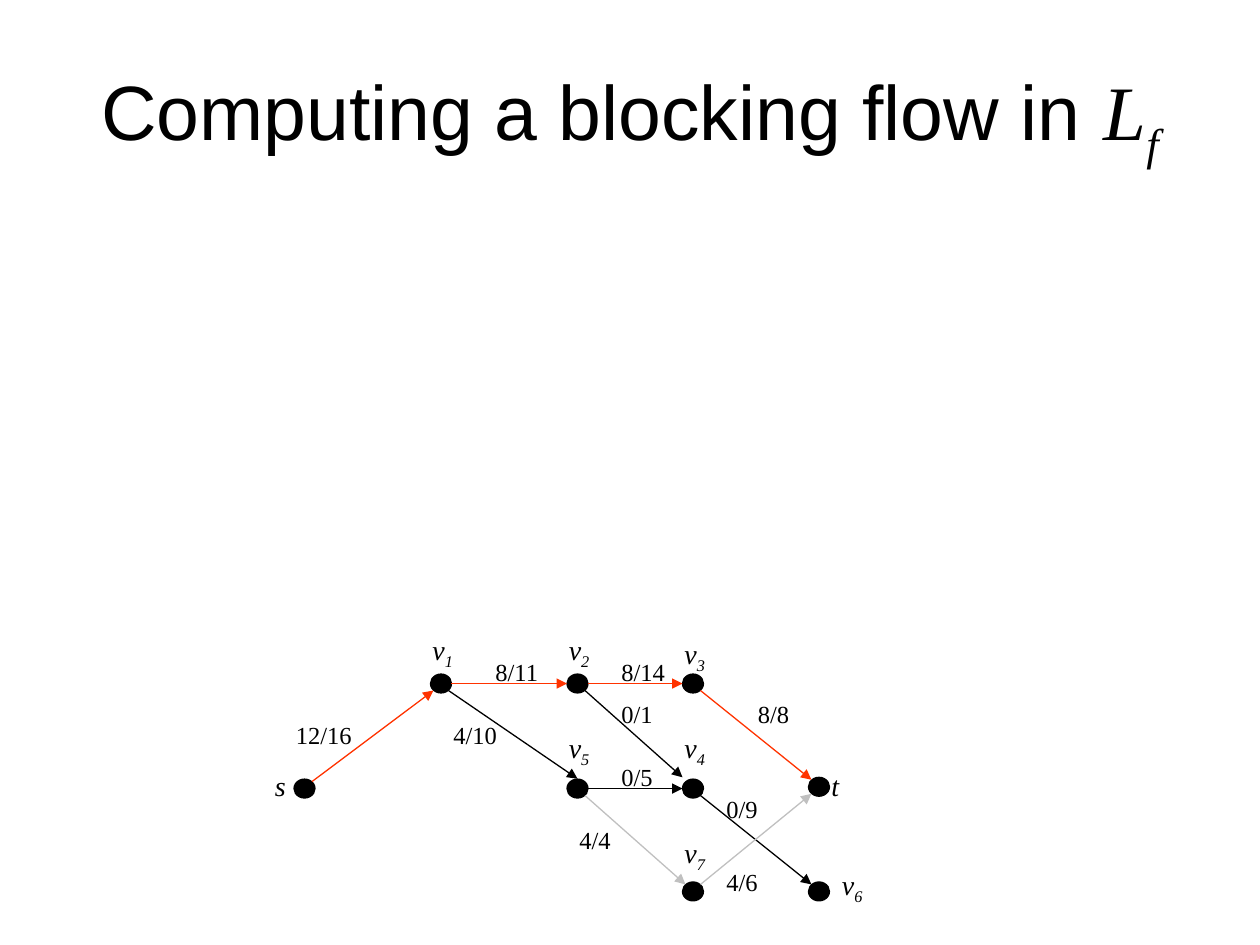
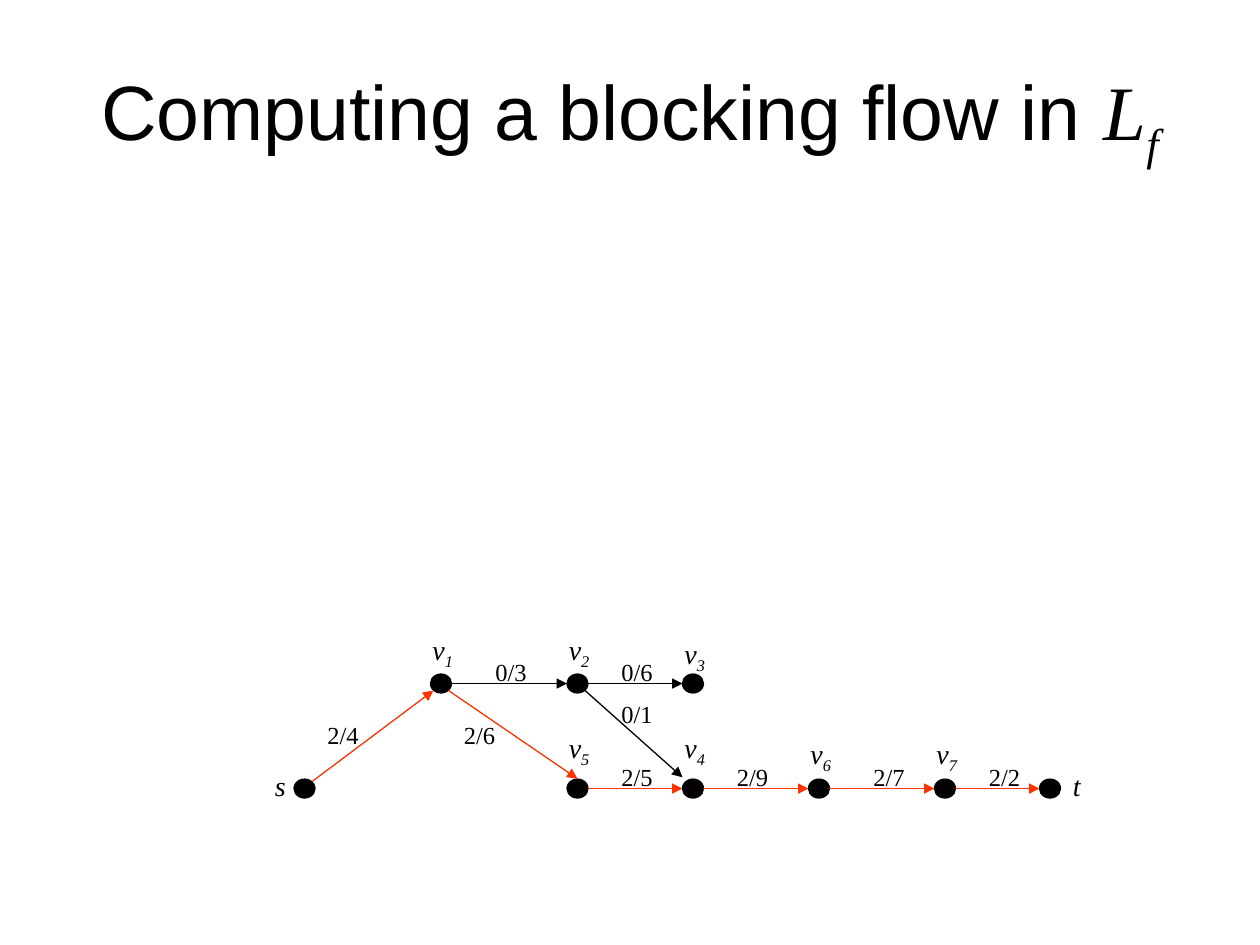
from lxml import etree
from pptx import Presentation
from pptx import util as u
from pptx.dml.color import RGBColor
from pptx.enum import shapes, text
from pptx.oxml import ns

INK = {"black": "000000", "red": "FF3300", "gray": "C0C0C0"}
SERIF = "Times New Roman"
TITLE = [
    ("Computing a blocking flow in ", "Arial", False, 0),
    ("L", SERIF, True, 0),
    ("f", SERIF, True, -25),
]
WIDE, HIGH = 12, 10.8
ROWS = (390.6, 450.6, 509.4)

# name: (centre x, centre y, label shift x, label shift y)
CORE = {
    "s": (174, ROWS[1], -24, -15),
    "v1": (252, ROWS[0], -12, -32.6),
    "v2": (330, ROWS[0], -12, -32.6),
    "v3": (396, ROWS[0], -12, -30.6),
    "v4": (396, ROWS[1], -12, -36.6),
    "v5": (330, ROWS[1], -12, -36.6),
}
FIRST = CORE | {
    "v6": (468, ROWS[2], 6, -17.4),
    "v7": (396, ROWS[2], -12, -35.4),
    "t": (468, 449.6, 0, -14),
}
SECOND = CORE | {
    "v6": (468, ROWS[1], -12, -33),
    "v7": (540, ROWS[1], -12, -33),
    "t": (600, ROWS[1], 6, -15),
}

# start, end, colour, flow, flow x, flow y
FLOWS = [
    (FIRST, [
        ("s", "v1", "red", "12/16", 162, 408),
        ("v1", "v2", "red", "8/11", 276, 372),
        ("v2", "v3", "red", "8/14", 348, 372),
        ("v3", "t", "red", "8/8", 426, 396),
        ("v1", "v5", "black", "4/10", 252, 408),
        ("v2", "v4", "black", "0/1", 348, 396),
        ("v5", "v4", "black", "0/5", 348, 432),
        ("v4", "v6", "black", "0/9", 408, 450),
        ("v5", "v7", "gray", "4/4", 324, 468),
        ("v7", "t", "gray", "4/6", 408, 492),
    ]),
    (SECOND, [
        ("s", "v1", "red", "2/4", 180, 408),
        ("v1", "v2", "black", "0/3", 276, 372),
        ("v2", "v3", "black", "0/6", 348, 372),
        ("v1", "v5", "red", "2/6", 258, 408),
        ("v2", "v4", "black", "0/1", 348, 396),
        ("v5", "v4", "red", "2/5", 348, 432),
        ("v4", "v6", "red", "2/9", 414, 432),
        ("v6", "v7", "red", "2/7", 492, 432),
        ("v7", "t", "red", "2/2", 558, 432),
    ]),
]
# end point shifts that differ from the rim of the node
ENDS = {("v1", "v5"): (0, -5.6), ("v2", "v4"): (-6, -6.4)}


def paint(name):
    return RGBColor.from_string(INK[name])


def write(shape, runs, size=14, before=0, align=text.PP_ALIGN.LEFT,
          anchor=text.MSO_ANCHOR.TOP):
    frame = shape.text_frame
    frame.word_wrap = True
    frame.auto_size = text.MSO_AUTO_SIZE.SHAPE_TO_FIT_TEXT
    frame.vertical_anchor = anchor
    para = frame.paragraphs[0]
    para.alignment = align
    para.space_before = u.Pt(before)
    for words, face, slant, base in runs:
        run = para.add_run()
        run.text = words
        font = run.font
        font.name, font.size, font.italic = face, u.Pt(size), slant
        font.color.rgb = paint("black")
        if base:
            run._r.get_or_add_rPr().set("baseline", str(base * 1000))


def place(shape, *box):
    shape.left, shape.top, shape.width, shape.height = map(u.Pt, box)


def label(slide, box, runs, **form):
    write(slide.shapes.add_textbox(*map(u.Pt, box)), runs, **form)


def node(slide, name, x, y, dx, dy):
    dot = slide.shapes.add_shape(
        shapes.MSO_SHAPE.OVAL, u.Pt(x - WIDE / 2), u.Pt(y - HIGH / 2),
        u.Pt(WIDE), u.Pt(HIGH))
    dot.shadow.inherit = False
    dot.fill.solid()
    dot.fill.fore_color.rgb = paint("black")
    dot.line.color.rgb = paint("black")
    dot.line.width = u.Pt(0.75)
    runs = [(name[0], SERIF, True, 0)]
    size = (24, 26.6)
    if name[1:]:
        runs.append((name[1:], SERIF, True, -25))
        size = (42, 29.5)
    label(slide, (x + dx, y + dy, *size), runs, size=16, before=10)


def rim(here, there):
    dx, dy = there[0] - here[0], there[1] - here[1]
    side = 1 if dx > 0 else -1
    if abs(dy) < 2:
        return side * WIDE / 2, 0
    return side * 4.3, 4 if dy > 0 else -4


def edge(slide, start, end, color, out, into):
    x1, y1 = start[0] + out[0], start[1] + out[1]
    x2, y2 = end[0] + into[0], end[1] + into[1]
    line = slide.shapes.add_connector(
        shapes.MSO_CONNECTOR.STRAIGHT, *map(u.Pt, (x1, y1, x2, y2)))
    line.line.color.rgb = paint(color)
    line.line.width = u.Pt(0.75)
    etree.SubElement(line.line._get_or_add_ln(), ns.qn("a:tailEnd"),
                     type="triangle")
    etree.SubElement(line._element.spPr, ns.qn("a:effectLst"))


def graph(slide, nodes, flows):
    for name, spot in nodes.items():
        node(slide, name, *spot)
    for a, b, color, flow, x, y in flows:
        start, end = nodes[a], nodes[b]
        into = ENDS.get((a, b), rim(end, start))
        edge(slide, start, end, color, rim(start, end), into)
        width = 54 if len(flow) > 4 else 42
        label(slide, (x, y, width, 24.5), [(flow, SERIF, False, 0)],
              before=8.7)


def main():
    deck = Presentation()
    deck.slide_width, deck.slide_height = u.Pt(720), u.Pt(540)
    for nodes, flows in FLOWS:
        slide = deck.slides.add_slide(deck.slide_layouts[5])
        title = slide.shapes.title
        place(title, 36, 21.6, 648, 90)
        write(title, TITLE, size=44, align=text.PP_ALIGN.CENTER,
              anchor=text.MSO_ANCHOR.MIDDLE)
        title.text_frame.auto_size = text.MSO_AUTO_SIZE.NONE
        graph(slide, nodes, flows)
    deck.save("out.pptx")


if __name__ == "__main__":
    main()
